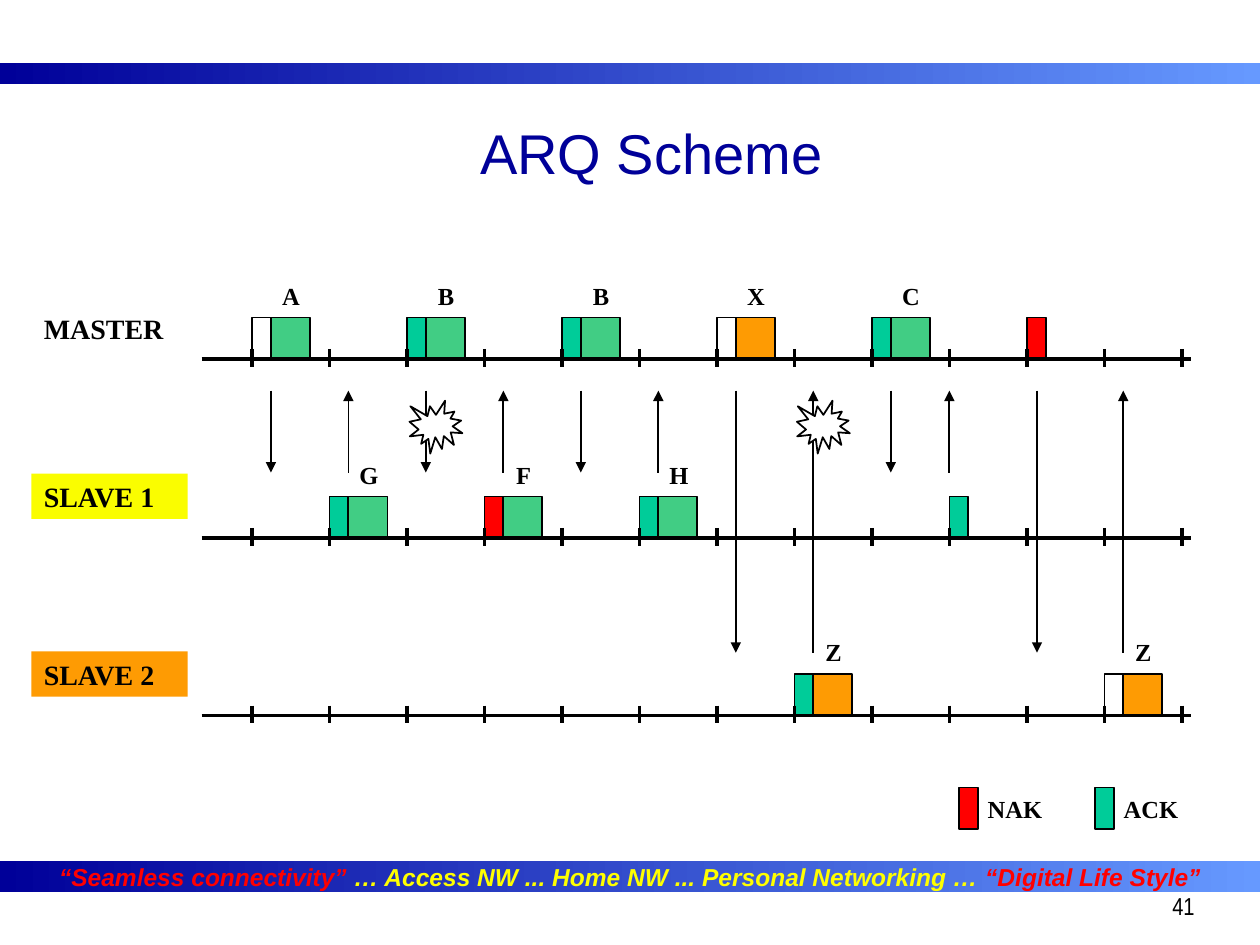
from dataclasses import dataclass

import pptx
import pptx.dml.color
import pptx.enum.shapes
import pptx.enum.text
import pptx.oxml.ns
import pptx.util
from lxml import etree
from pptx.util import Inches

SHAPE = pptx.enum.shapes.MSO_SHAPE
ALIGN = pptx.enum.text.PP_ALIGN
ANCHOR = pptx.enum.text.MSO_ANCHOR


@dataclass(frozen=True)
class Theme:
    navy: str = "000099"
    sky: str = "6699FF"
    black: str = "000000"
    white: str = "FFFFFF"
    red: str = "FF0000"
    ack: str = "00CC99"
    payload: str = "41CD84"
    orange: str = "FE9B03"
    yellow: str = "FAFD00"
    slogan: str = "FFFF00"
    sans: str = "Arial"
    narrow: str = "Arial Narrow"
    serif: str = "Times New Roman"
    title_size: int = 32
    station_size: int = 16
    label_size: int = 14
    thin: float = 1
    thick: float = 2


THEME = Theme()

FIRST_SLOT, SLOT_WIDTH, SLOT_COUNT = 2.0, 0.615, 12
HEADER_WIDTH, PAYLOAD_WIDTH, PACKET_HEIGHT = 0.15, 0.31, 0.33
MASTER, SLAVE_1, SLAVE_2 = 2.85, 4.27, 5.68  # heights of the time axes
ARROW_TOP = 3.1
ARROW_BOTTOM = {SLAVE_1: 3.75, SLAVE_2: 5.18}

# name, axis, label top, width, fill
STATIONS = [
    ("MASTER", MASTER, 2.42, 1.21, THEME.white),
    ("SLAVE 1", SLAVE_1, 3.76, 1.24, THEME.yellow),
    ("SLAVE 2", SLAVE_2, 5.17, 1.24, THEME.orange),
]

# slot, sender, receiver, header colour, payload colour, label, arrow offset
PACKETS = [
    (0, MASTER, SLAVE_1, THEME.white, THEME.payload, "A", 0.15),
    (1, SLAVE_1, MASTER, THEME.ack, THEME.payload, "G", 0.15),
    (2, MASTER, SLAVE_1, THEME.ack, THEME.payload, "B", 0.15),
    (3, SLAVE_1, MASTER, THEME.red, THEME.payload, "F", 0.15),
    (4, MASTER, SLAVE_1, THEME.ack, THEME.payload, "B", 0.15),
    (5, SLAVE_1, MASTER, THEME.ack, THEME.payload, "H", 0.15),
    (6, MASTER, SLAVE_2, THEME.white, THEME.orange, "X", 0.15),
    (7, SLAVE_2, MASTER, THEME.ack, THEME.orange, "Z", 0.15),
    (8, MASTER, SLAVE_1, THEME.ack, THEME.payload, "C", 0.15),
    (9, SLAVE_1, MASTER, THEME.ack, None, None, 0),
    (10, MASTER, SLAVE_2, THEME.red, None, None, 0.08),
    (11, SLAVE_2, MASTER, THEME.white, THEME.orange, "Z", 0.15),
]
LOST_SLOTS = (2, 7)

SLOGAN = [
    ("“Seamless connectivity”", THEME.red),
    (" … Access NW ... Home NW ... Personal Networking … ", THEME.slogan),
    ("“Digital Life Style”", THEME.red),
]


def rgb(colour):
    return pptx.dml.color.RGBColor.from_string(colour)


def slot_left(slot):
    return FIRST_SLOT + slot * SLOT_WIDTH


def write_text(shape, text, *, size=THEME.label_size, font=THEME.serif,
               colour=THEME.black, bold=False, italic=False, align=ALIGN.LEFT,
               anchor=ANCHOR.TOP, wrap=True, spacing=None):
    """Fill a shape with one paragraph; text is a string or (string, colour) pairs."""
    frame = shape.text_frame
    frame.word_wrap = wrap
    frame.vertical_anchor = anchor
    paragraph = frame.paragraphs[0]
    paragraph.alignment = align
    if spacing:
        paragraph.line_spacing = spacing
    pieces = [(text, colour)] if isinstance(text, str) else text
    for words, piece_colour in pieces:
        run = paragraph.add_run()
        run.text = words
        run.font.name = font
        run.font.size = pptx.util.Pt(size)
        run.font.bold = bold
        run.font.italic = italic
        run.font.color.rgb = rgb(piece_colour)


def add_label(slide, left, top, width, height, text, **style):
    box = slide.shapes.add_textbox(Inches(left), Inches(top), Inches(width), Inches(height))
    write_text(box, text, **style)


def add_block(slide, left, top, width, height, fill, outlined=True, preset=SHAPE.RECTANGLE):
    block = slide.shapes.add_shape(
        preset, Inches(left), Inches(top), Inches(width), Inches(height))
    block.shadow.inherit = False
    block.fill.solid()
    block.fill.fore_color.rgb = rgb(fill)
    if outlined:
        block.line.color.rgb = rgb(THEME.black)
        block.line.width = pptx.util.Pt(THEME.thin)
    else:
        block.line.fill.background()
    return block


def add_band(slide, top, height):
    """Full-width bar that fades from navy at the left to sky at the right."""
    band = add_block(slide, 0, top, 10, height, THEME.navy, outlined=False)
    band.fill.gradient()
    band.fill.gradient_angle = 180
    for stop, colour in zip(band.fill.gradient_stops, (THEME.sky, THEME.navy)):
        stop.color.rgb = rgb(colour)
    return band


def add_line(slide, start, end, width, arrow=False):
    line = slide.shapes.add_connector(
        pptx.enum.shapes.MSO_CONNECTOR.STRAIGHT, *map(Inches, start + end))
    line.line.color.rgb = rgb(THEME.black)
    line.line.width = pptx.util.Pt(width)
    if arrow:
        etree.SubElement(line.line._get_or_add_ln(),
                         pptx.oxml.ns.qn("a:tailEnd"), type="triangle")
    etree.SubElement(line._element.spPr, pptx.oxml.ns.qn("a:effectLst"))


def add_packet(slide, slot, sender, receiver, header, payload, label, arrow_offset):
    left, top = slot_left(slot), sender - PACKET_HEIGHT
    arrow_x = left + arrow_offset
    upper = (arrow_x, ARROW_TOP)
    lower = (arrow_x, ARROW_BOTTOM[max(sender, receiver)])
    start, end = (upper, lower) if sender == MASTER else (lower, upper)
    add_line(slide, start, end, THEME.thin, arrow=True)
    if payload:
        add_block(slide, left + HEADER_WIDTH, top, PAYLOAD_WIDTH, 0.32, payload)
        add_label(slide, left + 0.14, top - 0.34, 0.34, 0.34, label,
                  bold=True, align=ALIGN.CENTER, wrap=False)
    add_block(slide, left, top, HEADER_WIDTH, PACKET_HEIGHT, header)


def add_time_axis(slide, axis):
    for slot in range(SLOT_COUNT + 1):
        x = slot_left(slot)
        add_line(slide, (x, axis - 0.08), (x, axis + 0.06), THEME.thick)
    add_line(slide, (1.6, axis), (9.45, axis), THEME.thick)


def add_legend_entry(slide, left, colour, text):
    add_block(slide, left, 6.25, HEADER_WIDTH, PACKET_HEIGHT, colour)
    add_label(slide, left + 0.13, 6.25, 0.63, 0.34, text, bold=True, wrap=False)


def add_title(slide, text):
    title = slide.shapes.title
    title.left, title.top, title.width, title.height = map(Inches, (0.67, 0.92, 9, 0.58))
    write_text(title, text, size=THEME.title_size, font=THEME.sans,
               colour=THEME.navy, align=ALIGN.CENTER, anchor=ANCHOR.MIDDLE)


def main():
    deck = pptx.Presentation()
    deck.slide_width, deck.slide_height = Inches(10), Inches(7.5)
    slide = deck.slides.add_slide(deck.slide_layouts[5])

    add_band(slide, 0.5, 0.17)
    write_text(add_band(slide, 6.83, 0.25), SLOGAN, font=THEME.sans, bold=True,
               italic=True, align=ALIGN.CENTER, anchor=ANCHOR.MIDDLE, wrap=False)
    add_title(slide, "ARQ Scheme")

    for name, _, top, width, fill in STATIONS:
        write_text(add_block(slide, 0.25, top, width, 0.36, fill, outlined=False),
                   name, size=THEME.station_size, bold=True)
    for packet in PACKETS:
        add_packet(slide, *packet)
    add_legend_entry(slide, 7.61, THEME.red, "NAK")
    add_legend_entry(slide, 8.69, THEME.ack, "ACK")
    for _, axis, *_ in STATIONS:
        add_time_axis(slide, axis)
    for slot in LOST_SLOTS:
        add_block(slide, slot_left(slot) + 0.02, 3.18, 0.42, 0.42, THEME.white,
                  preset=SHAPE.EXPLOSION1)

    add_label(slide, 7.5, 7, 2.08, 0.5, "41", font=THEME.narrow,
              align=ALIGN.RIGHT, spacing=1.1)
    deck.save("out.pptx")


if __name__ == "__main__":
    main()
